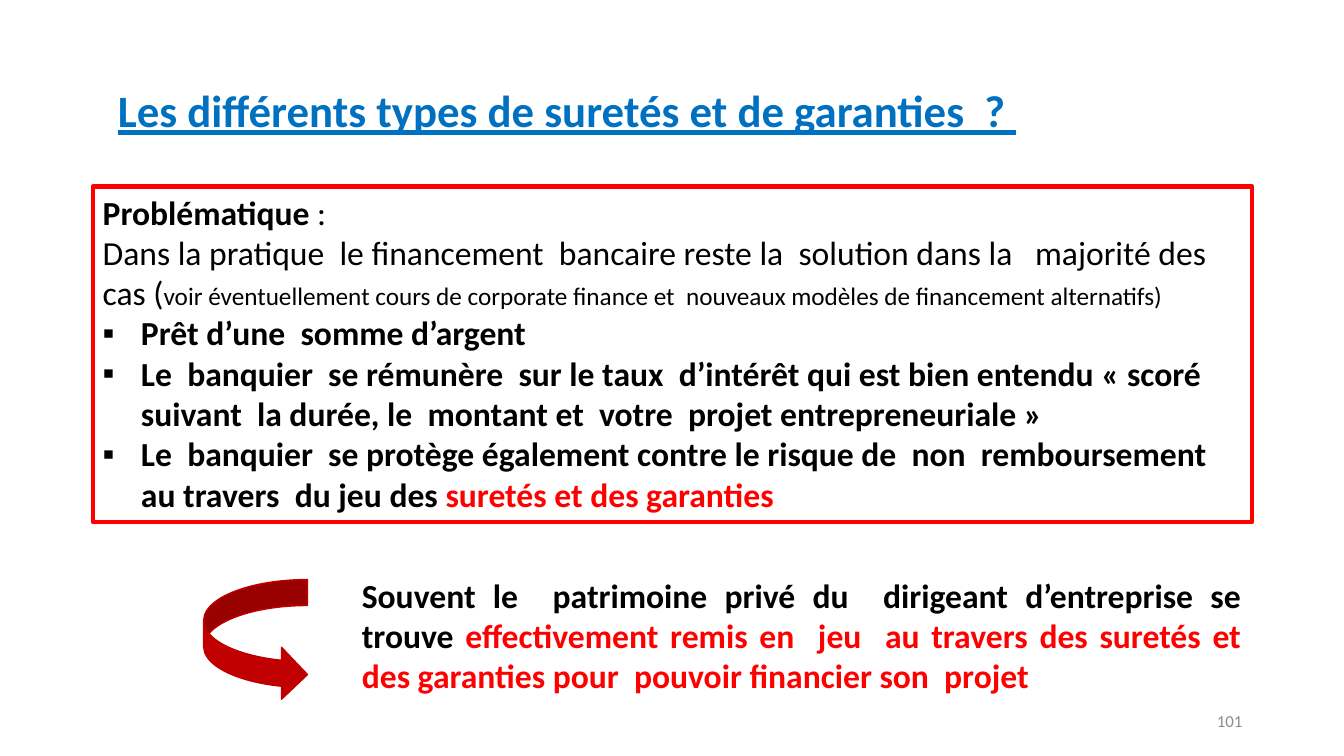
from lxml import etree
from pptx import Presentation
from pptx.dml.color import RGBColor
from pptx.enum.shapes import MSO_SHAPE as Shape
from pptx.enum.text import MSO_ANCHOR as Anchor, PP_ALIGN as Align
from pptx.oxml.ns import qn
from pptx.util import Inches, Pt

BLACK, RED, DARK_RED, BLUE, GREY = "000000", "FF0000", "C00000", "0070C0", "8C8C8C"


def rgb(value):
    return RGBColor.from_string(value)


def add_text(paragraph, text, size=24, color=BLACK, bold=False, underline=None):
    run = paragraph.add_run()
    run.text = text
    run.font.name = "Calibri"
    run.font.size = Pt(size)
    run.font.bold = bold
    run.font.underline = underline
    run.font.color.rgb = rgb(color)


presentation = Presentation()
presentation.slide_width = Inches(13.33)
presentation.slide_height = Inches(7.5)
slide = presentation.slides.add_slide(presentation.slide_layouts[5])

# Title
title = slide.shapes.title
title.left, title.top = Inches(1.07), Inches(0.4)
title.width, title.height = Inches(11.5), Inches(1.45)
title.text_frame.vertical_anchor = Anchor.MIDDLE
paragraph = title.text_frame.paragraphs[0]
paragraph.alignment = Align.LEFT
paragraph.line_spacing = 0.9
add_text(paragraph, "Les différents types de suretés et de garanties  ? ",
         size=32, color=BLUE, bold=True, underline=True)

# Framed problem statement
frame = slide.shapes.add_shape(Shape.RECTANGLE, Inches(0.92), Inches(1.85), Inches(11.5), Inches(3.33))
frame.shadow.inherit = False
frame.fill.background()
frame.line.color.rgb = rgb(RED)
frame.line.width = Pt(3)
frame.text_frame.word_wrap = True
frame.text_frame.vertical_anchor = Anchor.TOP

paragraph = frame.text_frame.paragraphs[0]
paragraph.alignment = Align.LEFT
add_text(paragraph, "Problématique", bold=True)
add_text(paragraph, " :")

paragraph = frame.text_frame.add_paragraph()
paragraph.alignment = Align.LEFT
add_text(paragraph, "Dans la pratique  le financement  bancaire reste la  solution dans la   majorité des cas (")
add_text(paragraph, "voir éventuellement cours de corporate finance et  nouveaux modèles "
                    "de financement alternatifs)", size=18)

bullets = [
    ("Prêt d’une  somme d’argent", ""),
    ("Le  banquier  se rémunère  sur le taux  d’intérêt qui est bien entendu « scoré "
     "suivant  la durée, le  montant et  votre  projet entrepreneuriale »", ""),
    ("Le  banquier  se protège également contre le risque de  non  remboursement  "
     "au travers  du jeu des ", "suretés et des garanties"),
]
for text, highlight in bullets:
    paragraph = frame.text_frame.add_paragraph()
    paragraph.alignment = Align.LEFT
    properties = paragraph._p.get_or_add_pPr()
    properties.set("marL", str(Inches(0.38)))
    properties.set("indent", str(Inches(-0.38)))
    etree.SubElement(properties, qn("a:buFont")).set("typeface", "Arial")
    etree.SubElement(properties, qn("a:buChar")).set("char", "▪")
    add_text(paragraph, text, bold=True)
    if highlight:
        add_text(paragraph, highlight, color=RED, bold=True)

# Arrow and conclusion
arrow = slide.shapes.add_shape(Shape.CURVED_RIGHT_ARROW, Inches(2.02), Inches(5.75), Inches(1.03), Inches(1.2))
arrow.shadow.inherit = False
arrow.fill.solid()
arrow.fill.fore_color.rgb = rgb(DARK_RED)
arrow.line.color.rgb = rgb(DARK_RED)
arrow.line.width = Pt(1)

conclusion = slide.shapes.add_textbox(Inches(3.49), Inches(5.65), Inches(8.92), Inches(1.31))
conclusion.text_frame.word_wrap = True
paragraph = conclusion.text_frame.paragraphs[0]
paragraph.alignment = Align.JUSTIFY
add_text(paragraph, "Souvent le  patrimoine privé du  dirigeant d’entreprise se trouve ", bold=True)
add_text(paragraph, "effectivement remis en  jeu  au travers des suretés et des garanties "
                    "pour  pouvoir financier son  projet ", color=RED, bold=True)

# Page number
page_number = slide.shapes.add_textbox(Inches(9.42), Inches(6.95), Inches(3), Inches(0.4))
page_number.text_frame.word_wrap = True
page_number.text_frame.vertical_anchor = Anchor.MIDDLE
paragraph = page_number.text_frame.paragraphs[0]
paragraph.alignment = Align.RIGHT
add_text(paragraph, "101", size=12, color=GREY)

presentation.save("out.pptx")
